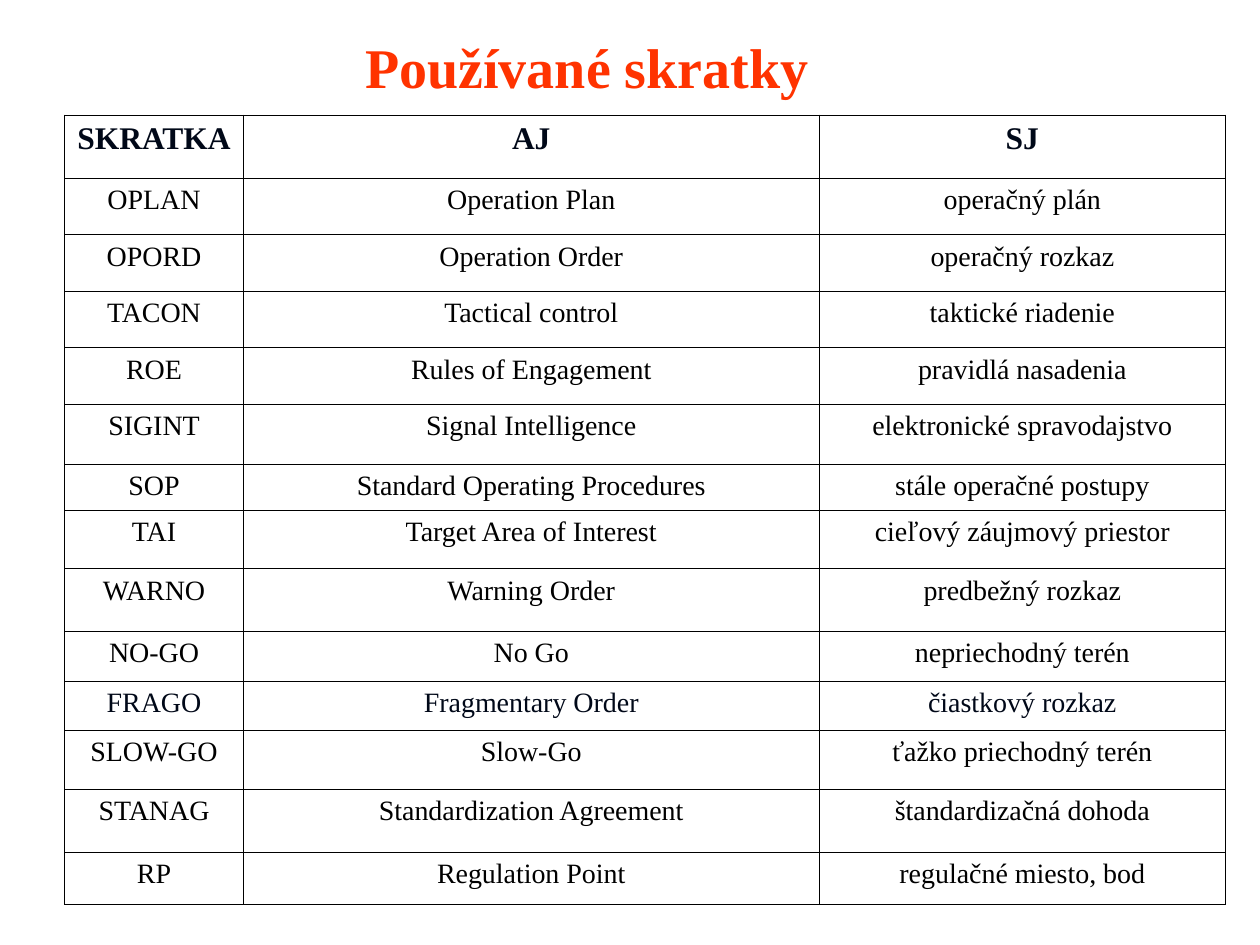
from typing import NamedTuple

from lxml.etree import SubElement
from pptx import Presentation
from pptx.dml.color import RGBColor
from pptx.enum.text import MSO_ANCHOR, MSO_AUTO_SIZE, PP_ALIGN
from pptx.oxml.ns import qn
from pptx.util import Cm, Pt

FONT = "Times New Roman"
BLACK = RGBColor(0x00, 0x00, 0x00)
NAVY = RGBColor(0x00, 0x08, 0x18)
RED = RGBColor(0xFF, 0x33, 0x00)
BORDER_WIDTH = Pt(0.45)
COLUMN_WIDTHS = (3.61, 11.6, 8.2)


class Entry(NamedTuple):
    """One row of the glossary; height in centimetres."""
    abbreviation: str
    english: str
    slovak: str
    height: float
    color: RGBColor = BLACK
    size: int = 16
    bold: bool = False


ENTRIES = (
    Entry("SKRATKA", "AJ", "SJ", 1.27, NAVY, 18, True),
    Entry("OPLAN", "Operation Plan", "operačný plán", 1.14),
    Entry("OPORD", "Operation Order", "operačný rozkaz", 1.14),
    Entry("TACON", "Tactical control", "taktické riadenie", 1.14),
    Entry("ROE", "Rules of Engagement", "pravidlá nasadenia", 1.14),
    Entry("SIGINT", "Signal Intelligence", "elektronické spravodajstvo", 1.21),
    Entry("SOP", "Standard Operating Procedures", "stále operačné postupy", 0.93),
    Entry("TAI", "Target Area of Interest", "cieľový záujmový priestor", 1.18),
    Entry("WARNO", "Warning Order", "predbežný rozkaz", 1.26),
    Entry("NO-GO", "No Go", "nepriechodný terén", 1),
    Entry("FRAGO", "Fragmentary Order", "čiastkový rozkaz", 1, NAVY),
    Entry("SLOW-GO", "Slow-Go", "ťažko priechodný terén", 1.19),
    Entry("STANAG", "Standardization Agreement", "štandardizačná dohoda", 1.27),
    Entry("RP", "Regulation Point", "regulačné miesto, bod", 1.05),
)


def style_paragraph(p, size: int, color: RGBColor, bold: bool, align: PP_ALIGN) -> None:
    p.alignment = align
    p.font.name = FONT
    p.font.size = Pt(size)
    p.font.bold = bold
    p.font.color.rgb = color


def add_borders(cell) -> None:
    """Draw a thin black line on all four sides of a cell."""
    tc_pr = cell._tc.get_or_add_tcPr()
    for side in ("a:lnL", "a:lnR", "a:lnT", "a:lnB"):
        line = SubElement(tc_pr, qn(side), w=str(BORDER_WIDTH))
        fill = SubElement(line, qn("a:solidFill"))
        SubElement(fill, qn("a:srgbClr"), val=str(BLACK))


def fill_cell(cell, text: str, entry: Entry) -> None:
    cell.margin_left = cell.margin_right = Cm(0.05)
    cell.margin_top = cell.margin_bottom = Cm(0.13)
    cell.text = text
    style_paragraph(cell.text_frame.paragraphs[0], entry.size, entry.color,
                    entry.bold, PP_ALIGN.CENTER)
    add_borders(cell)
    cell.fill.background()


def add_title(s, text: str) -> None:
    title = s.shapes.title
    title.left, title.top, title.width, title.height = Cm(7.11), Cm(0.53), Cm(9.6), Cm(1.63)
    tf = title.text_frame
    tf.text = text
    tf.auto_size = MSO_AUTO_SIZE.NONE
    tf.vertical_anchor = MSO_ANCHOR.TOP
    style_paragraph(tf.paragraphs[0], 32, RED, True, PP_ALIGN.LEFT)


def add_glossary(s, entries: tuple[Entry, ...]) -> None:
    table = s.shapes.add_table(
        len(entries), len(COLUMN_WIDTHS), Cm(1.3), Cm(2.32),
        Cm(sum(COLUMN_WIDTHS)), Cm(sum(e.height for e in entries))).table
    for column, width in zip(table.columns, COLUMN_WIDTHS):
        column.width = Cm(width)
    for row, entry in zip(table.rows, entries):
        row.height = Cm(entry.height)
        texts = (entry.abbreviation, entry.english, entry.slovak)
        for cell, text in zip(row.cells, texts):
            fill_cell(cell, text, entry)


def main() -> None:
    prs = Presentation()
    prs.slide_width, prs.slide_height = Cm(25.4), Cm(19.05)
    s = prs.slides.add_slide(prs.slide_layouts[5])
    add_title(s, "Používané skratky")
    add_glossary(s, ENTRIES)
    prs.save("out.pptx")


if __name__ == "__main__":
    main()
